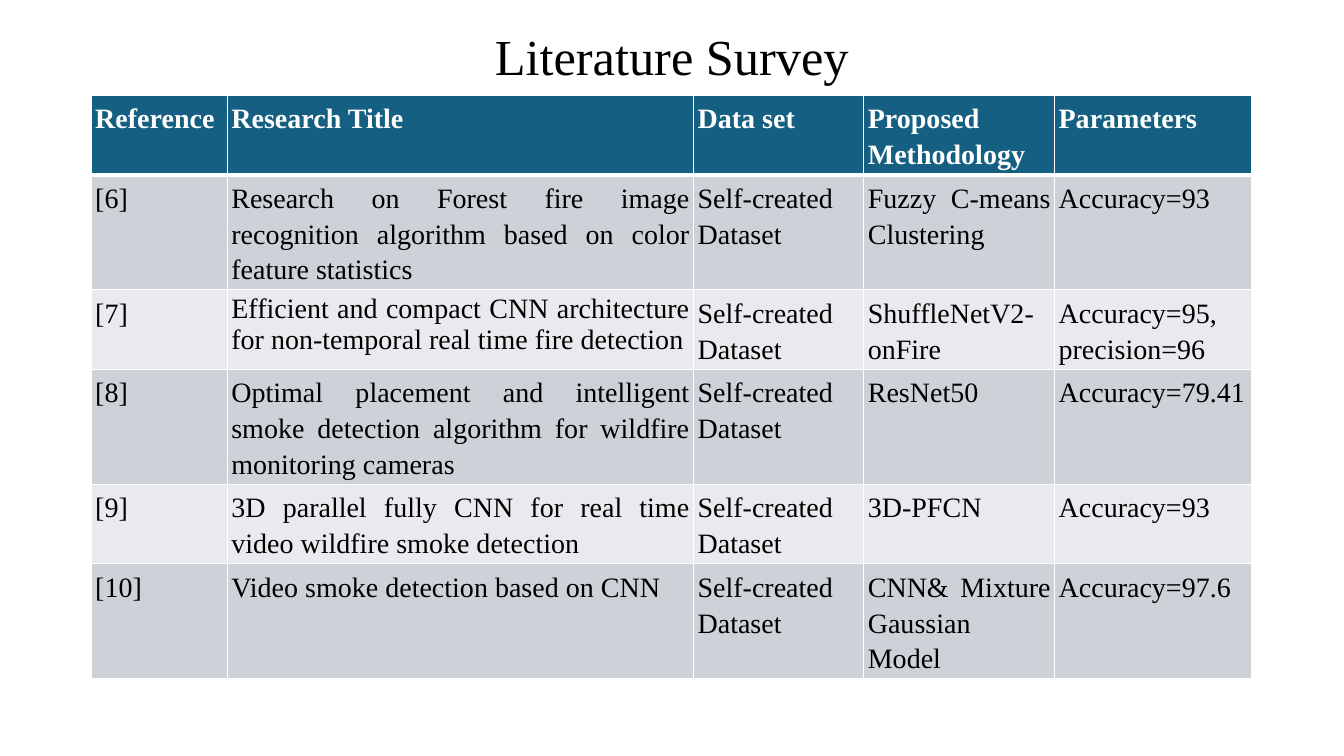
from dataclasses import dataclass

import lxml.etree
import pptx
import pptx.dml.color
import pptx.enum.text
import pptx.oxml.ns
import pptx.util
from pptx.util import Cm

TITLE = "Literature Survey"
HEADERS = ["Reference ", "Research Title", "Data set", "Proposed Methodology", "Parameters"]
DATASET = "Self-created Dataset"
STUDIES = [
    ("[6]", "Research on Forest fire image recognition algorithm based on color feature statistics",
     DATASET, "Fuzzy C-means Clustering", "Accuracy=93"),
    ("[7] ", "Efficient and compact CNN architecture for non-temporal real time fire detection",
     DATASET, "ShuffleNetV2-onFire", "Accuracy=95, precision=96"),
    ("[8]", "Optimal placement and intelligent smoke detection algorithm for wildfire monitoring cameras",
     DATASET, "ResNet50", "Accuracy=79.41"),
    ("[9]", "3D parallel fully CNN for real time video wildfire smoke detection",
     DATASET, "3D-PFCN", "Accuracy=93"),
    ("[10]", "Video smoke detection based on CNN",
     DATASET, "CNN& Mixture Gaussian Model", "Accuracy=97.6"),
]
SINGLE_SPACED_CELL = (2, 1)

COLUMN_WIDTHS = [3.43, 11.75, 4.29, 4.81, 4.95]
HEADER_HEIGHT = 1.95
STUDY_HEIGHT = 1.9
TABLE_LEFT, TABLE_TOP = 2.3, 2.4
CELL_MARGIN = 0.1


@dataclass(frozen=True)
class Theme:
    font: str = "Times New Roman"
    title_size: int = 36
    cell_size: int = 20
    text: str = "000000"
    header_text: str = "FFFFFF"
    header_fill: str = "156082"
    band_fills: tuple = ("CCD2D8", "E8EAED")
    border: str = "FFFFFF"
    border_width: float = 1
    header_rule_width: float = 3


THEME = Theme()


def rgb(value):
    return pptx.dml.color.RGBColor.from_string(value)


def format_runs(paragraph, size, color, bold=False):
    for run in paragraph.runs:
        run.font.name = THEME.font
        run.font.size = pptx.util.Pt(size)
        run.font.bold = bold
        run.font.color.rgb = rgb(color)


def set_borders(cell, row_index):
    """Draw all four sides, with a heavier rule under the header row."""
    widths = dict.fromkeys(("lnL", "lnR", "lnT", "lnB"), THEME.border_width)
    if row_index == 0:
        widths["lnB"] = THEME.header_rule_width
    elif row_index == 1:
        widths["lnT"] = THEME.header_rule_width
    qn = pptx.oxml.ns.qn
    properties = cell._tc.get_or_add_tcPr()
    for side, width in widths.items():
        line = lxml.etree.SubElement(properties, qn(f"a:{side}"), w=str(pptx.util.Pt(width)))
        fill = lxml.etree.SubElement(line, qn("a:solidFill"))
        lxml.etree.SubElement(fill, qn("a:srgbClr"), val=THEME.border)


def fill_cell(cell, text, row_index, line_spacing):
    is_header = row_index == 0
    set_borders(cell, row_index)
    cell.fill.solid()
    band = THEME.band_fills[(row_index - 1) % len(THEME.band_fills)]
    cell.fill.fore_color.rgb = rgb(THEME.header_fill if is_header else band)
    cell.margin_left = cell.margin_right = Cm(CELL_MARGIN)
    cell.margin_top = cell.margin_bottom = Cm(CELL_MARGIN)
    cell.text_frame.text = text
    paragraph = cell.text_frame.paragraphs[0]
    paragraph.alignment = pptx.enum.text.PP_ALIGN.JUSTIFY
    paragraph.line_spacing = line_spacing
    paragraph.space_before = pptx.util.Pt(12)
    format_runs(paragraph, THEME.cell_size, THEME.header_text if is_header else THEME.text, is_header)


def add_title(slide):
    title = slide.shapes.title
    title.left, title.top, title.width, title.height = Cm(2.33), Cm(1.02), Cm(29.21), Cm(0.94)
    frame = title.text_frame
    frame.text = TITLE
    frame.auto_size = pptx.enum.text.MSO_AUTO_SIZE.NONE
    frame.vertical_anchor = pptx.enum.text.MSO_ANCHOR.MIDDLE
    paragraph = frame.paragraphs[0]
    paragraph.alignment = pptx.enum.text.PP_ALIGN.CENTER
    paragraph.line_spacing = 0.9
    format_runs(paragraph, THEME.title_size, THEME.text)


def add_survey_table(slide):
    rows = [HEADERS, *STUDIES]
    row_heights = [HEADER_HEIGHT] + [STUDY_HEIGHT] * len(STUDIES)
    table = slide.shapes.add_table(
        len(rows), len(HEADERS), Cm(TABLE_LEFT), Cm(TABLE_TOP),
        Cm(sum(COLUMN_WIDTHS)), Cm(sum(row_heights))).table
    for column, width in zip(table.columns, COLUMN_WIDTHS):
        column.width = Cm(width)
    for row, height in zip(table.rows, row_heights):
        row.height = Cm(height)
    for row_index, texts in enumerate(rows):
        for column_index, text in enumerate(texts):
            position = (row_index, column_index)
            line_spacing = 1.0 if position == SINGLE_SPACED_CELL else 1.15
            fill_cell(table.cell(*position), text, row_index, line_spacing)


def main():
    presentation = pptx.Presentation()
    presentation.slide_width, presentation.slide_height = Cm(33.87), Cm(19.05)
    slide = presentation.slides.add_slide(presentation.slide_layouts[5])
    add_title(slide)
    add_survey_table(slide)
    presentation.save("out.pptx")


if __name__ == "__main__":
    main()
